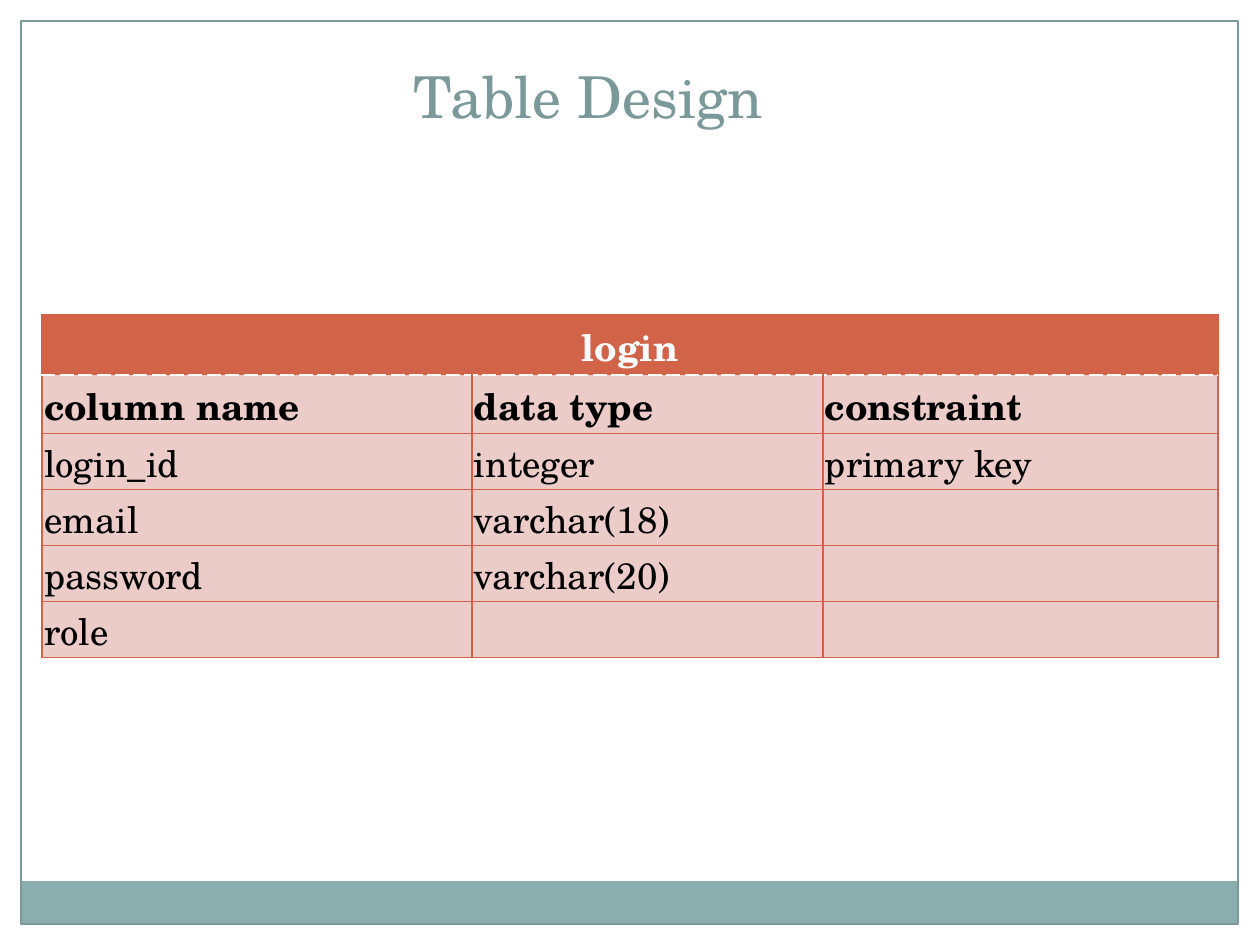
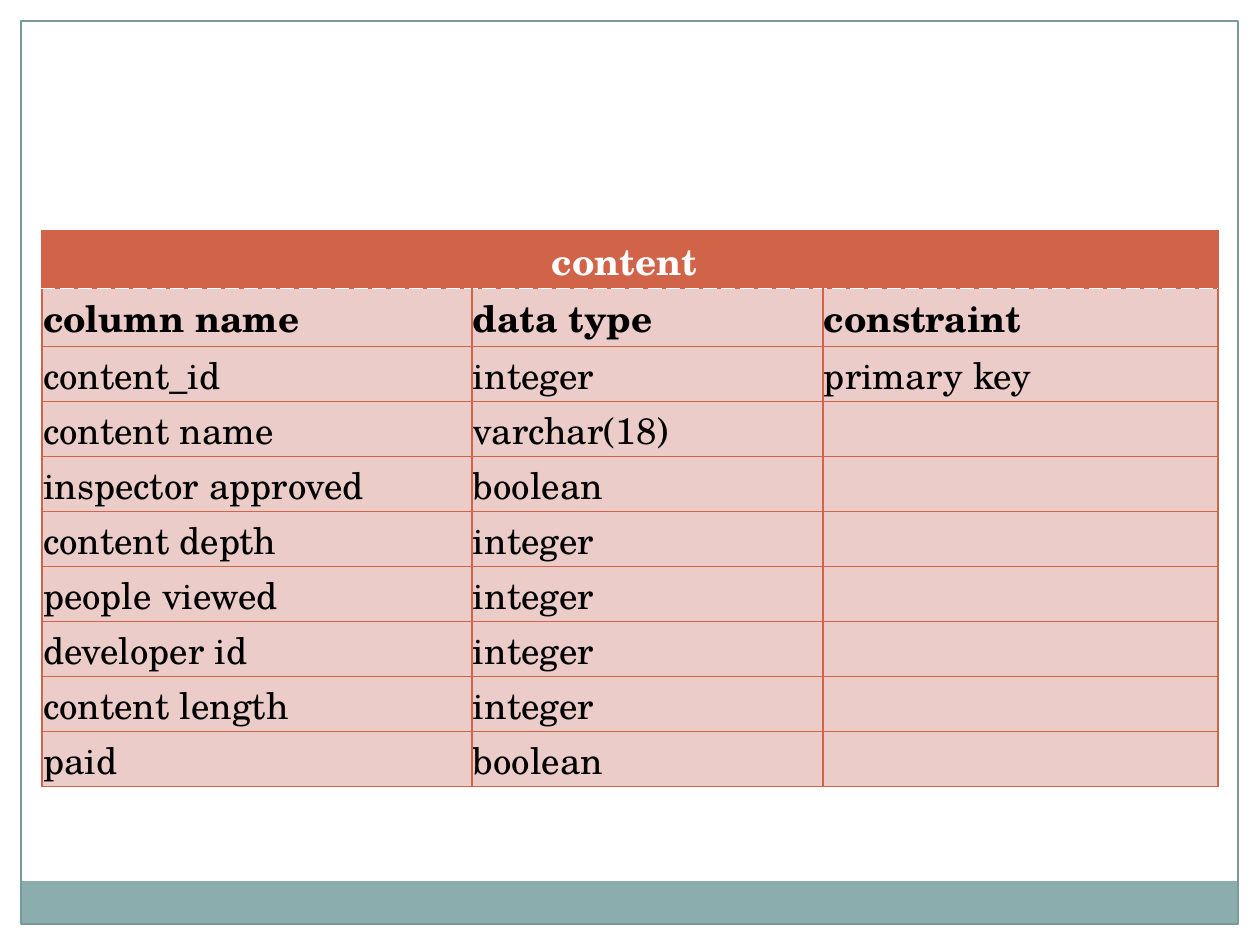
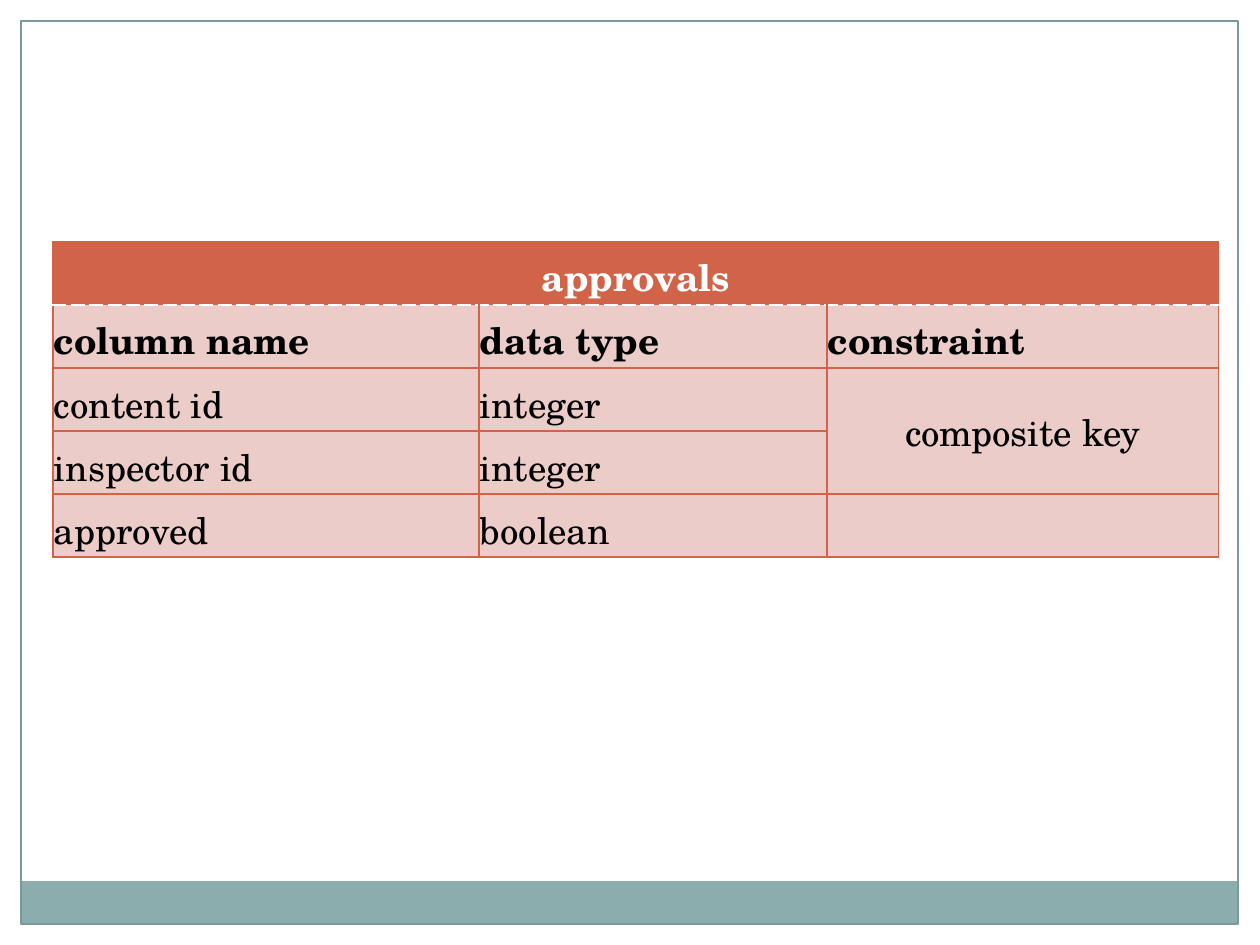
from lxml.etree import SubElement
from pptx import Presentation
from pptx.dml.color import RGBColor
from pptx.enum.shapes import MSO_SHAPE
from pptx.enum.text import MSO_ANCHOR, PP_ALIGN
from pptx.oxml.ns import qn
from pptx.util import Emu, Pt

PX = 914400 / 126
WIDTH, HEIGHT = 1260, 945
FONT = "TeX Gyre Schola"
WHITE, BLACK = "FFFFFF", "000000"
TEAL, TEAL_BAND = "7C999A", "8CADAE"
ORANGE, PINK = "D16349", "EBCCC9"
TITLE_ONLY, BLANK = 5, 6
HEADINGS = ("column name", "data type", "constraint")


def px(length):
    return Emu(round(length * PX))


def color(value):
    return RGBColor.from_string(value)


def set_font(paragraph, size, value, bold=False):
    font = paragraph.font
    font.name, font.size, font.bold = FONT, Pt(size), bold
    font.color.rgb = color(value)


def add_rectangle(slide, box, fill=None, line=None):
    shape = slide.shapes.add_shape(MSO_SHAPE.RECTANGLE, *map(px, box))
    shape.shadow.inherit = False
    if fill:
        shape.fill.solid()
        shape.fill.fore_color.rgb = color(fill)
    else:
        shape.fill.background()
    if line:
        shape.line.color.rgb = color(line)
        shape.line.width = Pt(0.75)
    else:
        shape.line.fill.background()


def add_slide(presentation, layout):
    """Add a slide with the shared margins, bottom band and frame."""
    slide = presentation.slides.add_slide(presentation.slide_layouts[layout])
    margin = 21
    for box in ((0, 0, WIDTH, margin),
                (WIDTH - margin, 0, margin, HEIGHT),
                (0, 0, margin, HEIGHT)):
        add_rectangle(slide, box, fill=WHITE)
    add_rectangle(slide, (21, 881, 1217, 43), fill=TEAL_BAND)
    add_rectangle(slide, (21, 21, 1217, 903), line=TEAL)
    return slide


def set_title(slide, text):
    title = slide.shapes.title
    title.left, title.top, title.width, title.height = map(px, (0, 32, 1176, 104))
    frame = title.text_frame
    frame.text = text
    frame.vertical_anchor = MSO_ANCHOR.BOTTOM
    paragraph = frame.paragraphs[0]
    paragraph.alignment = PP_ALIGN.CENTER
    set_font(paragraph, 33, TEAL)


def set_border(cell, side, value=ORANGE, width=0.75, dash="solid"):
    line = SubElement(cell._tc.get_or_add_tcPr(), qn(f"a:ln{side}"), w=str(Pt(width)))
    fill = SubElement(line, qn("a:solidFill"))
    SubElement(fill, qn("a:srgbClr"), val=value)
    SubElement(line, qn("a:prstDash"), val=dash)


def style_cell(cell, row, inset):
    # Borders: a dashed white rule lies between the name row and the rest
    dashed_side = {0: "B", 1: "T"}.get(row)
    for side in "LRTB":
        if side == dashed_side:
            set_border(cell, side, WHITE, 0.9, "sysDash")
        else:
            set_border(cell, side)
    cell.fill.solid()
    cell.fill.fore_color.rgb = color(PINK if row else ORANGE)
    cell.margin_left = cell.margin_right = cell.margin_top = px(inset)
    cell.margin_bottom = 0
    cell.vertical_anchor = MSO_ANCHOR.BOTTOM


def center_cell(cell, anchor):
    cell.vertical_anchor = anchor
    cell.text_frame.paragraphs[0].alignment = PP_ALIGN.CENTER


def add_design_table(slide, name, fields, box, columns, name_height, row_height, inset):
    """Add a table with a name row, a heading row and one row per field."""
    rows = [(name,), HEADINGS, *fields]
    table = slide.shapes.add_table(len(rows), len(columns), *map(px, box)).table
    table.first_row = table.horz_banding = False
    for column, width in zip(table.columns, columns):
        column.width = px(width)
    for index, row in enumerate(table.rows):
        row.height = px(row_height if index else name_height)
        for cell in row.cells:
            style_cell(cell, index, inset)
        for cell, text in zip(row.cells, rows[index]):
            cell.text = text
            set_font(cell.text_frame.paragraphs[0], 21, BLACK if index else WHITE, index < 2)
    name_cell = table.cell(0, 0)
    name_cell.merge(table.cell(0, len(columns) - 1))
    center_cell(name_cell, MSO_ANCHOR.BOTTOM)
    return table


def main():
    presentation = Presentation()
    presentation.slide_width, presentation.slide_height = px(WIDTH), px(HEIGHT)

    # Login table
    slide = add_slide(presentation, TITLE_ONLY)
    set_title(slide, "Table Design")
    login_fields = [
        ("login_id", "integer", "primary key"),
        ("email", "varchar(18)"),
        ("password", "varchar(20)"),
        ("role",),
    ]
    add_design_table(slide, "login", login_fields, (42, 315, 1176, 294),
                     (430, 351, 395), 60, 43, inset=2)

    # Content table
    slide = add_slide(presentation, BLANK)
    content_fields = [
        ("content_id", "integer", "primary key"),
        ("content name", "varchar(18)"),
        ("inspector approved", "boolean"),
        ("content depth", "integer"),
        ("people viewed", "integer"),
        ("developer id", "integer"),
        ("content length", "integer"),
        ("paid", "boolean"),
    ]
    add_design_table(slide, "content ", content_fields, (42, 231, 1176, 454),
                     (430, 351, 395), 35, 35, inset=1)

    # Approvals table, with one key over two fields
    slide = add_slide(presentation, BLANK)
    approval_fields = [
        ("content id", "integer", "composite key"),
        ("inspector id", "integer"),
        ("approved", "boolean"),
    ]
    table = add_design_table(slide, "approvals", approval_fields, (53, 242, 1166, 315),
                             (426, 348, 392), 63, 63, inset=1)
    key_cell = table.cell(2, 2)
    key_cell.merge(table.cell(3, 2))
    center_cell(key_cell, MSO_ANCHOR.MIDDLE)

    presentation.save("out.pptx")


if __name__ == "__main__":
    main()
